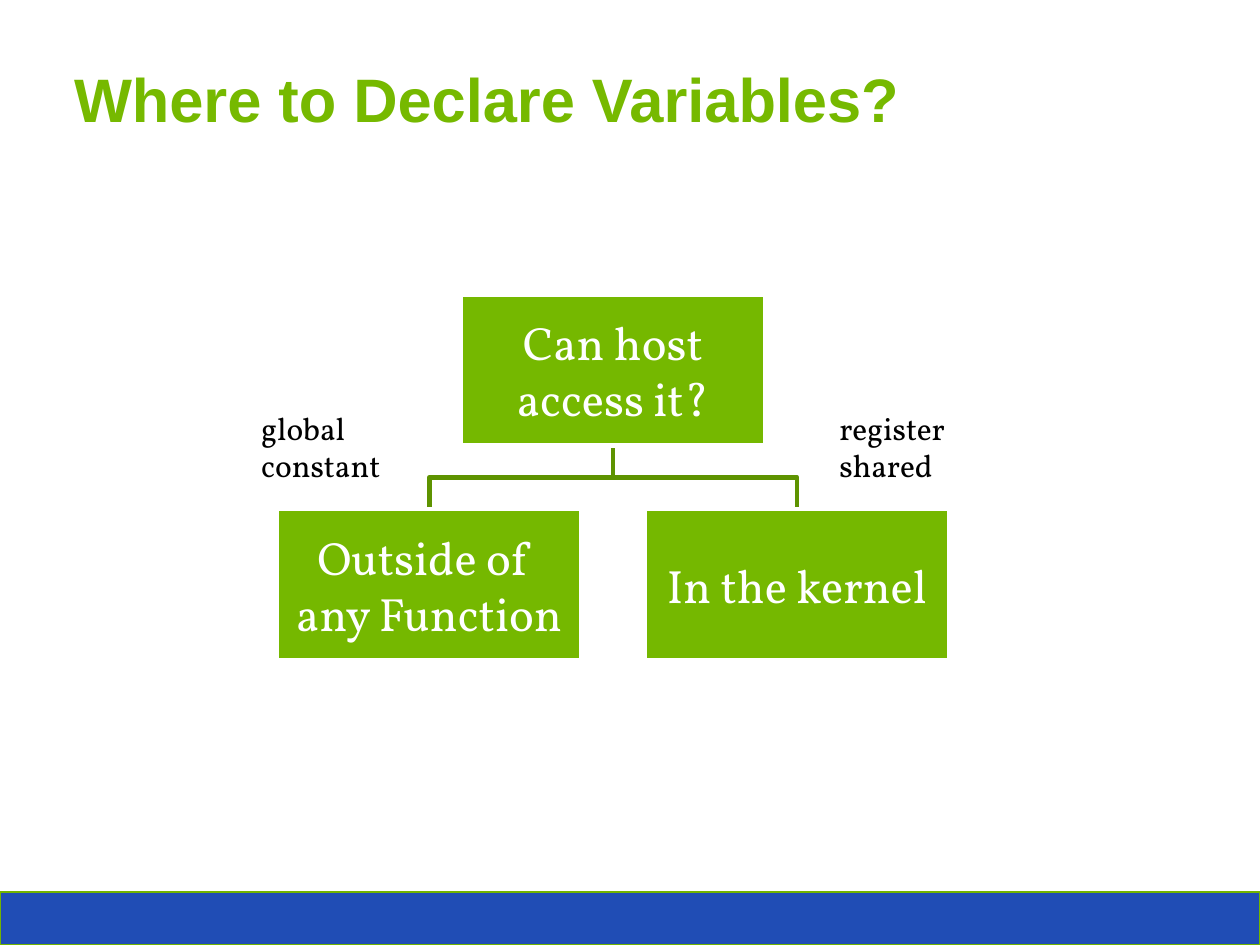
import dataclasses
import pptx
import pptx.util
import pptx.dml.color
import pptx.enum.shapes
import pptx.enum.text

Cm = pptx.util.Cm
Pt = pptx.util.Pt
ANCHOR = pptx.enum.text.MSO_ANCHOR
ALIGN = pptx.enum.text.PP_ALIGN


@dataclasses.dataclass(frozen=True)
class Theme:
    """Colours, fonts and sizes of the slide."""
    head: str = "76B900"
    node: str = "75B800"
    link: str = "5E9300"
    bar: str = "204DB5"
    edge: str = "72B400"
    white: str = "FFFFFF"
    black: str = "000000"
    sans: str = "Arial"
    serif: str = "Vollkorn"
    big: float = 26.3
    mid: float = 20
    small: float = 13.5
    thin: float = 0.75
    thick: float = 2


THEME = Theme()


def rgb(code):
    """Turn a hex code into a colour."""
    return pptx.dml.color.RGBColor.from_string(code)


def write(shape, text, size, color, font=THEME.serif, bold=False,
          align=ALIGN.LEFT, anchor=ANCHOR.TOP, inset=(0.25, 0.13), wrap=True):
    """Fill a shape with formatted text, one paragraph per line."""
    frame = shape.text_frame
    frame.word_wrap = wrap
    frame.vertical_anchor = anchor
    frame.margin_left = frame.margin_right = Cm(inset[0])
    frame.margin_top = frame.margin_bottom = Cm(inset[1])
    frame.text = text
    for para in frame.paragraphs:
        para.alignment = align
        for run in para.runs:
            run.font.name = font
            run.font.size = Pt(size)
            run.font.bold = bold
            run.font.color.rgb = rgb(color)


def rect(slide, box, fill, line, width):
    """Add a flat rectangle in the given box."""
    kind = pptx.enum.shapes.MSO_SHAPE.RECTANGLE
    shape = slide.shapes.add_shape(kind, *map(Cm, box))
    shape.shadow.inherit = False
    shape.fill.solid()
    shape.fill.fore_color.rgb = rgb(fill)
    shape.line.color.rgb = rgb(line)
    shape.line.width = Pt(width)
    return shape


def title(slide, box, text):
    """Place the heading at the bottom of its box."""
    shape = slide.shapes.add_textbox(*map(Cm, box))
    write(shape, text, THEME.big, THEME.head, font=THEME.sans, bold=True,
          anchor=ANCHOR.BOTTOM, inset=(0.25, 0))


def link(slide, start, end):
    """Draw a bent line from a parent down to a child."""
    (x, y), (right, low) = start, end
    half = (y + low) / 2
    path = slide.shapes.build_freeform(Cm(x), Cm(y))
    bends = [(x, half), (right, half), (right, low)]
    path.add_line_segments([(Cm(a), Cm(b)) for a, b in bends], close=False)
    shape = path.convert_to_shape()
    shape.shadow.inherit = False
    shape.fill.background()
    shape.line.color.rgb = rgb(THEME.link)
    shape.line.width = Pt(THEME.thick)


def tree(slide, box, root, kids, size=(4.6, 2.29)):
    """Draw a root node above an evenly spread row of children."""
    left, top, width, height = box
    wide, tall = size
    mid = left + width / 2
    low = top + height - tall
    step = (width - wide) / (len(kids) - 1)
    spots = [left + i * step for i in range(len(kids))]
    for x in reversed(spots):
        link(slide, (mid, top + tall), (x + wide / 2, low))
    nodes = [(root, mid - wide / 2, top)]
    nodes += [(kid, x, low) for kid, x in zip(kids, spots)]
    for text, x, y in nodes:
        shape = rect(slide, (x, y, wide, tall),
                     THEME.node, THEME.white, THEME.thick)
        write(shape, text, THEME.mid, THEME.white, align=ALIGN.CENTER,
              anchor=ANCHOR.MIDDLE, inset=(0.03, 0.03))


def label(slide, box, text):
    """Place a small list of memory kinds."""
    shape = slide.shapes.add_textbox(*map(Cm, box))
    write(shape, text, THEME.small, THEME.black, wrap=False)
    shape.text_frame.auto_size = pptx.enum.text.MSO_AUTO_SIZE.SHAPE_TO_FIT_TEXT


def main():
    """Build and save the slide."""
    deck = pptx.Presentation()
    deck.slide_width, deck.slide_height = Cm(19.05), Cm(14.29)
    slide = deck.slides.add_slide(deck.slide_layouts[6])
    rect(slide, (0, 13.49, 19.05, 0.8), THEME.bar, THEME.edge, THEME.thin)
    title(slide, (0.87, 0.81, 17.32, 1.23), "Where to Declare Variables?")
    tree(slide, (4.19, 4.45, 10.16, 5.54), "Can host access it?",
         ["Outside of \vany Function", "In the kernel"])
    label(slide, (3.7, 6.05, 2.34, 1.42), "global\nconstant")
    label(slide, (12.44, 6.05, 2.1, 1.42), "register\nshared")
    deck.save("out.pptx")


if __name__ == "__main__":
    main()
